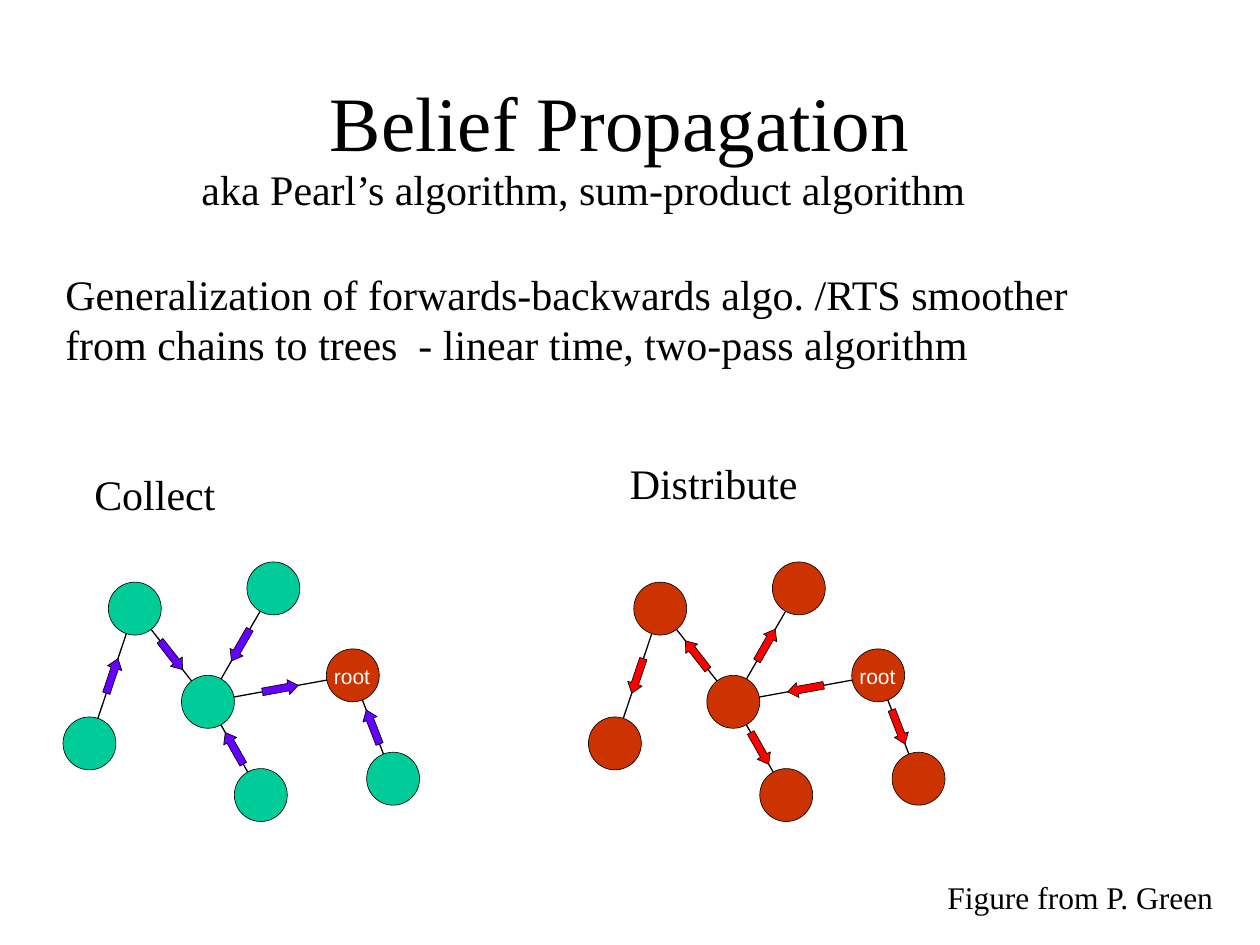
import math

import pptx
import pptx.dml.color
import pptx.enum.shapes
import pptx.enum.text
import pptx.oxml
import pptx.oxml.ns
import pptx.util

COLORS = {
    "ink": "000000",
    "label": "FFFFFF",
    "waiting": "00CC99",
    "informed": "CC3300",
    "collect": "6600FF",
    "distribute": "FF0000",
}
SERIF, SANS = "Times New Roman", "Arial"

deck = pptx.Presentation()
deck.slide_width = pptx.util.Inches(10)
deck.slide_height = pptx.util.Inches(7.5)
COL = deck.slide_width // 100  # grid of 100 columns
ROW = deck.slide_height // 75  # and 75 rows, so cells are square

slide = deck.slides.add_slide(deck.slide_layouts[5])


def write(frame, text, size=24, font=SERIF, color="ink", inset=1.0,
          align=pptx.enum.text.PP_ALIGN.LEFT, wrap=False,
          anchor=pptx.enum.text.MSO_ANCHOR.TOP):
    """Fill a text frame; the inset is in columns, half as many rows."""
    frame.text = text
    frame.word_wrap = wrap
    frame.vertical_anchor = anchor
    frame.margin_left = frame.margin_right = int(inset * COL)
    frame.margin_top = frame.margin_bottom = int(inset / 2 * ROW)
    for paragraph in frame.paragraphs:
        paragraph.alignment = align
        paragraph.font.size = pptx.util.Pt(size)
        paragraph.font.name = font
        paragraph.font.color.rgb = pptx.dml.color.RGBColor.from_string(COLORS[color])


def paint(shape, fill):
    shape.shadow.inherit = False
    shape.fill.solid()
    shape.fill.fore_color.rgb = pptx.dml.color.RGBColor.from_string(COLORS[fill])
    shape.line.color.rgb = pptx.dml.color.RGBColor.from_string(COLORS["ink"])
    shape.line.width = pptx.util.Pt(0.37)


title = slide.shapes.title
title.left, title.top = int(6.7 * COL), int(3.3 * ROW)
title.width, title.height = 85 * COL, int(12.5 * ROW)
write(title.text_frame, "Belief Propagation", size=44, wrap=True,
      align=pptx.enum.text.PP_ALIGN.CENTER,
      anchor=pptx.enum.text.MSO_ANCHOR.MIDDLE)

# Message-passing tree: node centres in grid cells, edges directed to the root
RADIUS = 2.1
ARROW_LENGTH, HEAD_LENGTH = 2.9, 0.8
HEAD_HALF, SHAFT_HALF = 0.6, 0.3
nodes = {
    "far leaf": (7.1, 59.0),
    "branch": (10.7, 48.3),
    "top leaf": (21.7, 46.7),
    "hub": (16.5, 55.7),
    "bottom leaf": (20.7, 63.1),
    "root": (28.0, 53.6),
    "root leaf": (31.2, 61.8),
}
edges = [
    ("far leaf", "branch"),
    ("branch", "hub"),
    ("top leaf", "hub"),
    ("bottom leaf", "hub"),
    ("hub", "root"),
    ("root leaf", "root"),
]
# Outline of a message arrow as (along, across), centred on its edge
neck, tip = ARROW_LENGTH / 2 - HEAD_LENGTH, ARROW_LENGTH / 2
arrow_outline = [
    (-tip, -SHAFT_HALF), (neck, -SHAFT_HALF), (neck, -HEAD_HALF), (tip, 0),
    (neck, HEAD_HALF), (neck, SHAFT_HALF), (-tip, SHAFT_HALF),
]
passes = [
    # message colour, node colour, shift in columns, direction
    ("collect", "waiting", 0, 1),
    ("distribute", "informed", 41.7, -1),
]

for message, node_fill, shift, direction in passes:
    for child, parent in edges:
        (x1, y1), (x2, y2) = nodes[child], nodes[parent]
        x1, x2 = x1 + shift, x2 + shift
        span = math.dist((x1, y1), (x2, y2))
        ux, uy = (x2 - x1) / span, (y2 - y1) / span

        edge = slide.shapes.add_connector(
            pptx.enum.shapes.MSO_CONNECTOR.STRAIGHT,
            int((x1 + RADIUS * ux) * COL), int((y1 + RADIUS * uy) * ROW),
            int((x2 - RADIUS * ux) * COL), int((y2 - RADIUS * uy) * ROW))
        edge.line.color.rgb = pptx.dml.color.RGBColor.from_string(COLORS["ink"])
        edge.line.width = pptx.util.Pt(0.75)
        edge._element.spPr.append(pptx.oxml.parse_xml(
            f"<a:effectLst {pptx.oxml.ns.nsdecls('a')}/>"))

        ux, uy = direction * ux, direction * uy
        middle_x, middle_y = (x1 + x2) / 2, (y1 + y2) / 2
        corners = [
            (int((middle_x + along * ux - across * uy) * COL),
             int((middle_y + along * uy + across * ux) * ROW))
            for along, across in arrow_outline
        ]
        builder = slide.shapes.build_freeform(*corners[0])
        builder.add_line_segments(corners[1:], close=True)
        paint(builder.convert_to_shape(), message)

    for name, (x, y) in nodes.items():
        node = slide.shapes.add_shape(
            pptx.enum.shapes.MSO_SHAPE.OVAL,
            int((x + shift - RADIUS) * COL), int((y - RADIUS) * ROW),
            int(2 * RADIUS * COL), int(2 * RADIUS * ROW))
        paint(node, "informed" if name == "root" else node_fill)

# Text, left, top, width, height in grid cells, then format
root_label = {"size": 12, "font": SANS, "color": "label", "inset": 0}
captions = [
    ("root", 26.5, 52.7, 2.9, 2, root_label),
    ("root", 68.2, 52.7, 2.9, 2, root_label),
    ("Collect", 6.5, 36.7, 11.6, 5, {}),
    ("Distribute", 49, 35.8, 15.3, 5, {}),
    ("Figure from P. Green", 74.2, 69.2, 23.4, 4, {"size": 18}),
    ("Generalization of forwards-backwards algo. /RTS smoother\v"
     "from chains to trees  - linear time, two-pass algorithm",
     4.2, 20.8, 82.6, 9, {}),
    ("aka Pearl’s algorithm, sum-product algorithm", 15, 12.5, 62.8, 5, {}),
]
for text, left, top, width, height, style in captions:
    caption = slide.shapes.add_textbox(
        int(left * COL), int(top * ROW), int(width * COL), int(height * ROW))
    write(caption.text_frame, text, **style)

deck.save("out.pptx")
